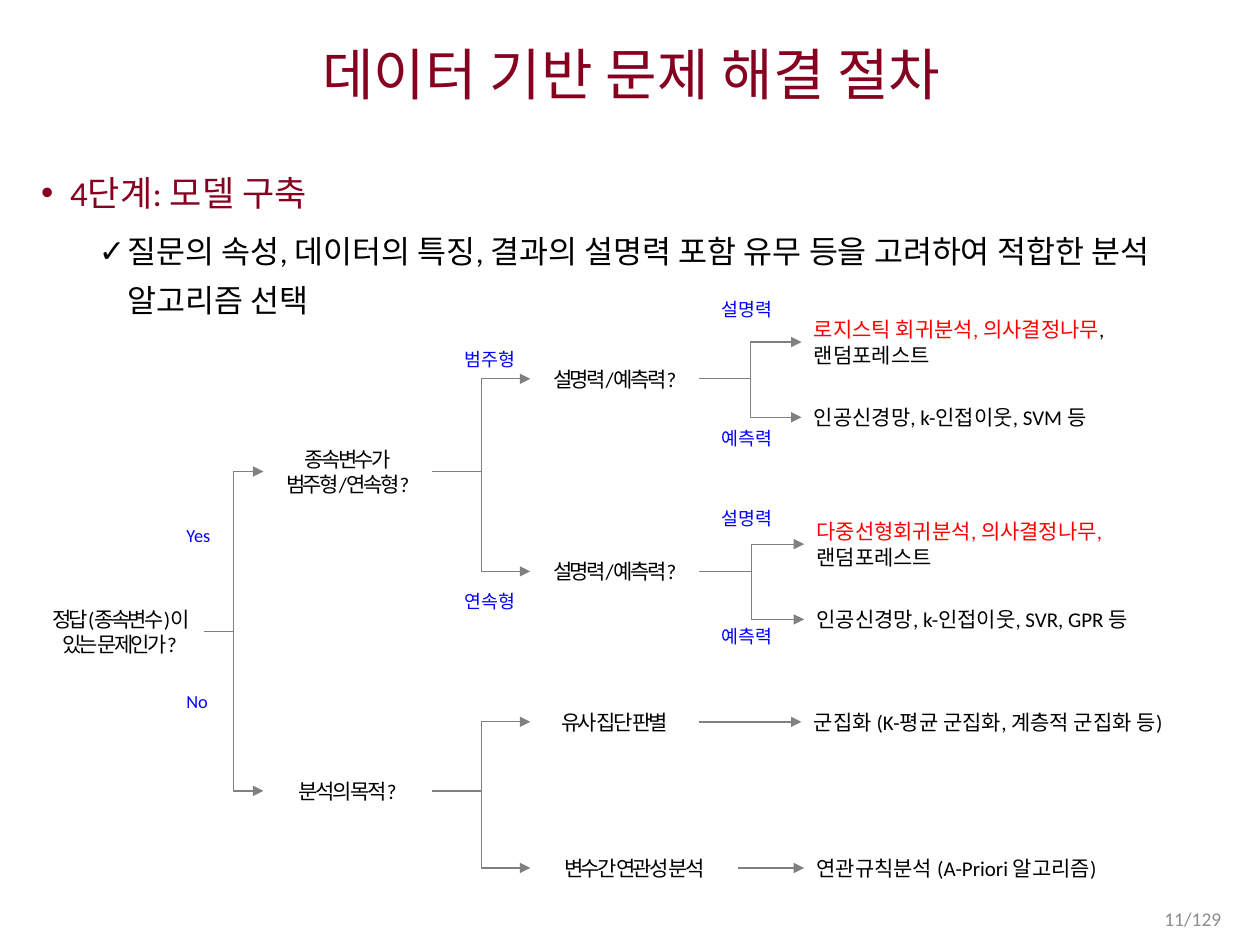
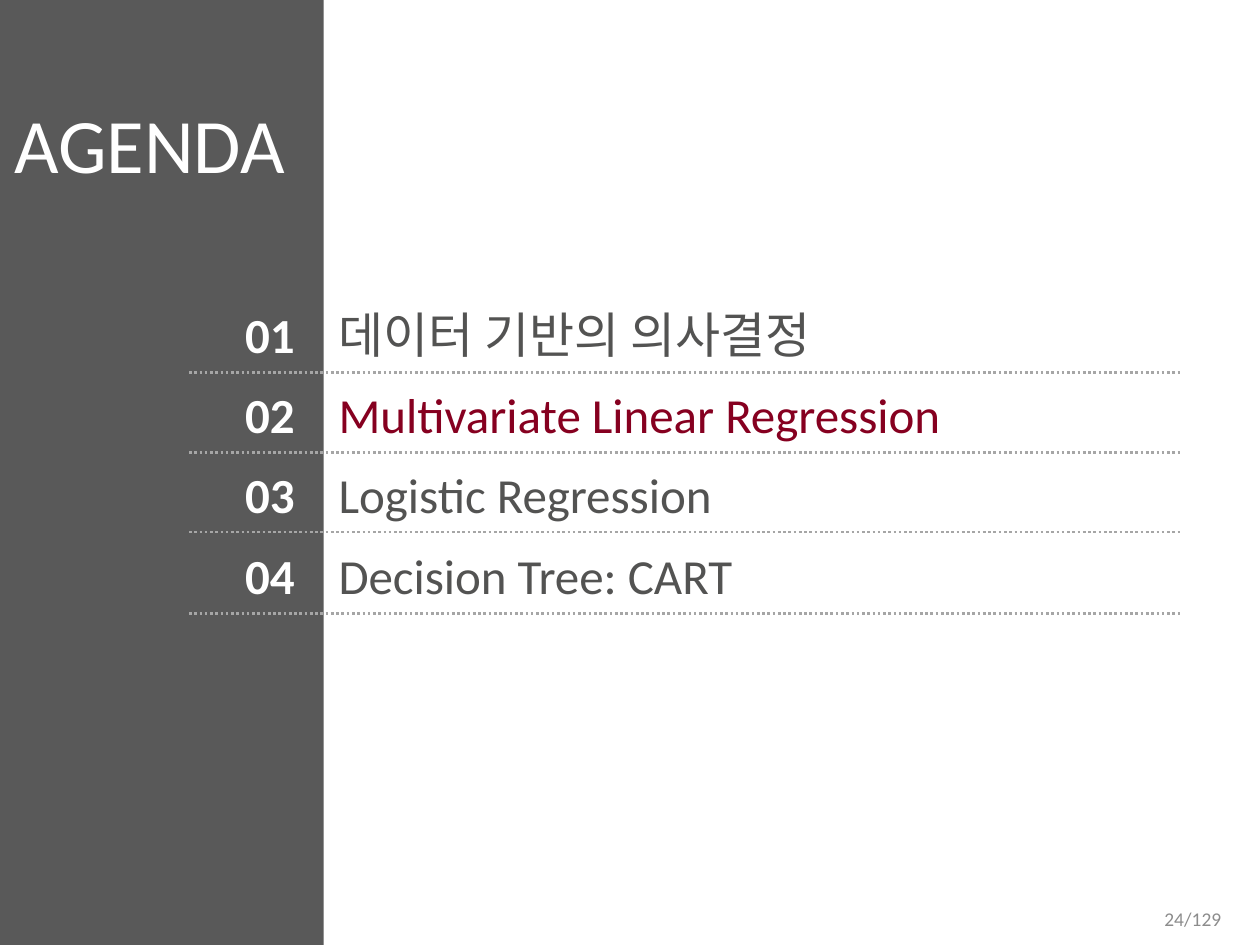
from dataclasses import dataclass

from lxml import etree
from pptx import Presentation
from pptx.dml.color import RGBColor
from pptx.enum.dml import MSO_LINE
from pptx.enum.shapes import MSO_CONNECTOR, MSO_SHAPE
from pptx.enum.text import MSO_ANCHOR, PP_ALIGN
from pptx.oxml.ns import qn
from pptx.util import Pt

LEFT, MID, RIGHT = PP_ALIGN.LEFT, PP_ALIGN.CENTER, PP_ALIGN.RIGHT
TOP, CENTER = MSO_ANCHOR.TOP, MSO_ANCHOR.MIDDLE
ELBOW, LINE = MSO_CONNECTOR.ELBOW, MSO_CONNECTOR.STRAIGHT
DOTS = MSO_LINE.ROUND_DOT
RECT = MSO_SHAPE.RECTANGLE


@dataclass(frozen=True)
class Theme:
    font: str = "Calibri"
    hangul: str = "Noto Sans CJK KR"
    wine: str = "860020"
    black: str = "000000"
    white: str = "FFFFFF"
    red: str = "FF0000"
    blue: str = "0000FF"
    band: str = "595959"
    ink: str = "535352"
    wire: str = "808080"
    rule: str = "A6A6A6"
    pale: str = "8C8C8C"
    title: float = 32
    head: float = 20
    body: float = 18
    node: float = 12
    label: float = 10.5
    foot: float = 11.1
    cover: float = 44
    item: float = 28


T = Theme()
RED = {"color": T.red}

TITLE = "데이터 기반 문제 해결 절차"
BODY = [
    [("4단계: 모델 구축", {"size": T.head, "color": T.wine})],
    ["질문의 속성, 데이터의 특징, 결과의 설명력 포함 유무 등을 고려하여 적합한 분석 알고리즘 선택"],
]
MARKS = [("•", 16.5, 0), ("✓", 49.5, 4.6)]

# name: parent, left, width, middle, lines, paragraphs
NODES = {
    "root": (None, 20, 96.5, 361, 2, ["정답(종속변수)이 있는 문제인가?"]),
    "type": ("root", 150.5, 96.5, 269.5, 2, ["종속변수가", "범주형/연속형?"]),
    "goal": ("root", 150.5, 96.5, 452, 1, ["분석의 목적?"]),
    "class": ("type", 303, 96.5, 216.5, 1, ["설명력/예측력?"]),
    "value": ("type", 303, 96.5, 326.5, 1, ["설명력/예측력?"]),
    "group": ("goal", 303, 96.5, 412.5, 1, ["유사 집단 판별"]),
    "link": ("goal", 303, 119, 496, 1, ["변수간 연관성 분석"]),
}
LEAVES = [
    ("class", 458, 195.5, 2, [[("로지스틱 회귀분석, 의사결정나무", RED), ","], "랜덤포레스트"]),
    ("class", 458, 238.5, 1, ["인공신경망, k-인접이웃, SVM 등"]),
    ("value", 459.5, 311, 2, [[("다중선형회귀분석, 의사결정나무,", RED)], "랜덤포레스트"]),
    ("value", 459.5, 354, 1, ["인공신경망, k-인접이웃, SVR, GPR 등"]),
    ("group", 458, 412.5, 1, ["군집화 (K-평균 군집화, 계층적 군집화 등)"]),
    ("link", 459.5, 496, 1, ["연관규칙분석 (A-Priori 알고리즘)"]),
]
LABELS = [
    (99.5, {"Yes": [306], "No": [400.5]}),
    (258.5, {"범주형": [205], "연속형": [343.5]}),
    (405.5, {"설명력": [176.5, 296], "예측력": [250.5, 363.5]}),
]

AGENDA = [
    ("데이터 기반의 의사결정", T.hangul, T.ink, 213),
    ("Multivariate Linear Regression", T.font, T.wine, 258.5),
    ("Logistic Regression", T.font, T.ink, 304),
    ("Decision Tree: CART", T.font, T.ink, 350.5),
]


def rgb(code):
    return RGBColor.from_string(code)


def text(slide, box, paras, size=T.node, color=T.black, font=T.font, align=LEFT,
         anchor=CENTER, bold=False, track=0, space=None, inset=(7.2, 3.6, 7.2, 3.6)):
    frame = slide.shapes.add_textbox(*map(Pt, box)).text_frame
    frame.word_wrap = True
    frame.vertical_anchor = anchor
    (frame.margin_left, frame.margin_top,
     frame.margin_right, frame.margin_bottom) = map(Pt, inset)
    for i, para in enumerate(paras):
        part = frame.add_paragraph() if i else frame.paragraphs[0]
        part.alignment = align
        if space:
            part.line_spacing = space
        for bit in [para] if isinstance(para, str) else para:
            words, own = (bit, {}) if isinstance(bit, str) else bit
            run = part.add_run()
            run.text = words
            run.font.size = Pt(own.get("size", size))
            run.font.bold = bold
            run.font.color.rgb = rgb(own.get("color", color))
            run.font.name = font
            props = run._r.get_or_add_rPr()
            etree.SubElement(props, qn("a:ea")).set("typeface", font)
            if track:
                props.set("spc", str(int(track * 100)))
    return frame


def wire(slide, kind, start, end, color, width, dash=None, arrow=False):
    line = slide.shapes.add_connector(kind, *map(Pt, start + end))
    line.line.color.rgb = rgb(color)
    line.line.width = Pt(width)
    if dash:
        line.line.dash_style = dash
    props = line._element.spPr
    if arrow:
        etree.SubElement(props.find(qn("a:ln")), qn("a:tailEnd")).set("type", "triangle")
    etree.SubElement(props, qn("a:effectLst"))


def join(slide, parent, left, mid):
    _, start, width, level, *_ = NODES[parent]
    kind = LINE if level == mid else ELBOW
    wire(slide, kind, (start + width, level), (left, mid), T.wire, 0.75, arrow=True)


def node(slide, left, width, mid, lines, paras, **form):
    high = 7 + 14.5 * lines
    text(slide, (left, mid - high / 2, width, high), paras, **form)


def foot(slide, page):
    text(slide, (543, 514, 162, 22), [f"{page}/129"], size=T.foot, color=T.pale, align=RIGHT)


def steps(slide):
    text(slide, (16.5, 18, 689, 52.5), [TITLE], size=T.title, color=T.wine,
         align=MID, space=0.9)
    frame = text(slide, (16.5, 87, 689, 420.5), BODY, size=T.body, anchor=TOP, space=1.3)
    for para, (mark, left, gap) in zip(frame.paragraphs, MARKS):
        if gap:
            para.space_before = Pt(gap)
        props = para._p.get_or_add_pPr()
        props.set("marL", str(Pt(left)))
        props.set("indent", str(Pt(-16.5)))
        etree.SubElement(props, qn("a:buFont")).set("typeface", "Arial")
        etree.SubElement(props, qn("a:buChar")).set("char", mark)
    for parent, left, width, mid, lines, paras in NODES.values():
        node(slide, left, width, mid, lines, paras, align=MID, track=-1.5)
        if parent:
            join(slide, parent, left, mid)
    for parent, left, mid, lines, paras in LEAVES:
        node(slide, left, 250, mid, lines, paras)
        join(slide, parent, left, mid)
    for left, names in LABELS:
        for name, mids in names.items():
            for mid in mids:
                text(slide, (left, mid - 10, 56, 20), [name], size=T.label, color=T.blue)
    foot(slide, 11)


def agenda(slide):
    band = slide.shapes.add_shape(RECT, 0, 0, Pt(185), Pt(540))
    band.shadow.inherit = False
    band.fill.solid()
    band.fill.fore_color.rgb = rgb(T.band)
    band.line.fill.background()
    text(slide, (0, 55, 171, 53), ["AGENDA"], size=T.cover, color=T.white,
         align=MID, anchor=TOP, inset=(0, 0, 0, 0))
    for i, (name, font, color, base) in enumerate(AGENDA, 1):
        mid = base - 22
        text(slide, (96.5, mid - 20.5, 79, 41), [f"{i:02}"], size=T.item,
             color=T.white, align=RIGHT, bold=True)
        wire(slide, LINE, (108, base), (675.5, base), T.rule, 1.5, dash=DOTS)
        text(slide, (193.5, mid - 14, 482, 28), [name], size=T.item, color=color,
             font=font, inset=(0, 3.6, 7.2, 3.6))
    foot(slide, 24)


def main():
    deck = Presentation()
    deck.slide_width, deck.slide_height = Pt(720), Pt(540)
    for draw in (steps, agenda):
        draw(deck.slides.add_slide(deck.slide_layouts[6]))
    deck.save("out.pptx")


if __name__ == "__main__":
    main()
